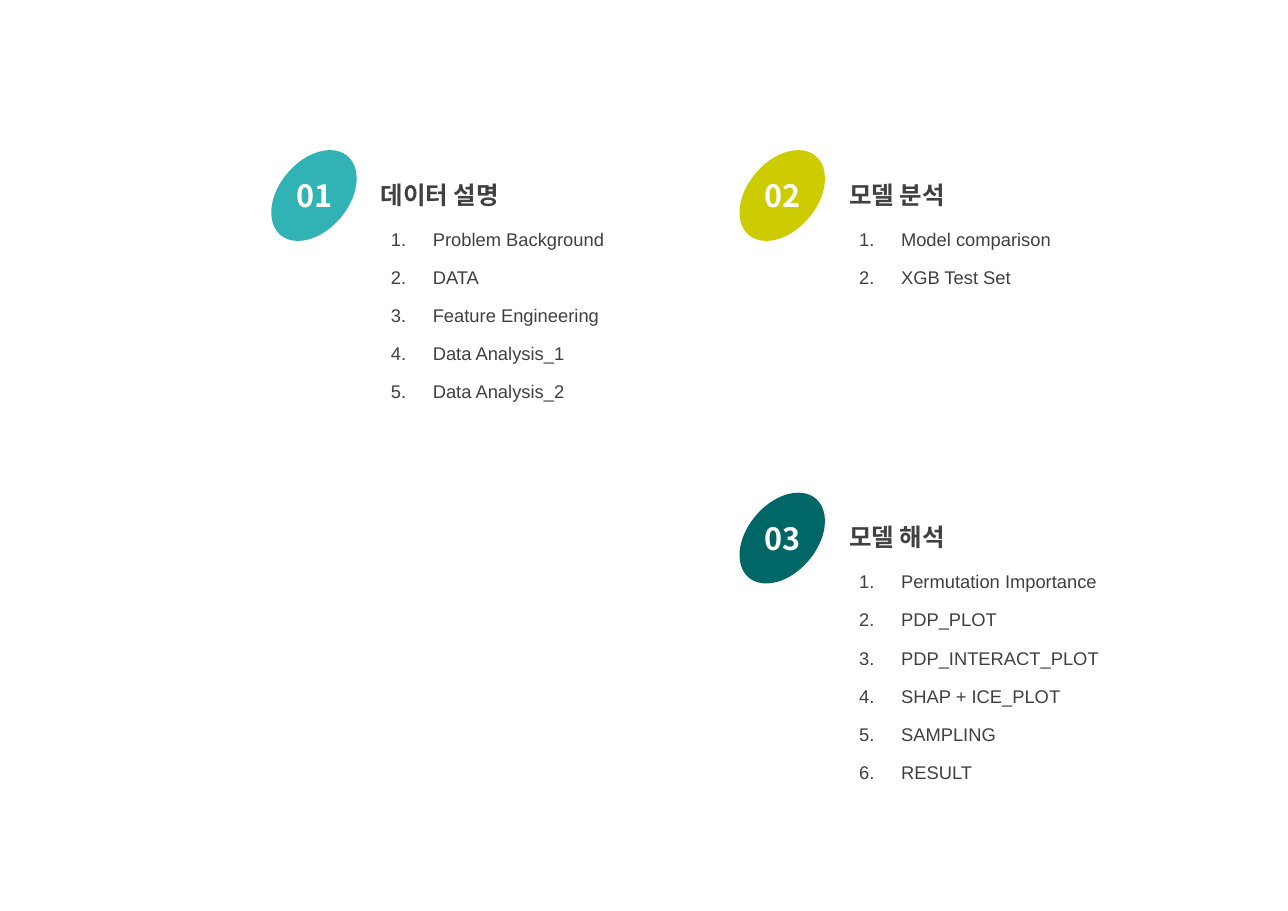
from dataclasses import dataclass

from lxml.etree import SubElement
from pptx import Presentation
from pptx.dml.color import RGBColor
from pptx.enum.shapes import MSO_SHAPE
from pptx.enum.text import MSO_ANCHOR, MSO_AUTO_SIZE
from pptx.oxml.ns import qn
from pptx.shapes.group import GroupShape
from pptx.slide import Slide
from pptx.util import Emu, Pt

EMU_PER_PX = 9144


@dataclass(frozen=True)
class Theme:
    text: str = "404040"
    number: str = "FFFFFF"
    teal: str = "31B2B5"
    lime: str = "CCCC00"
    dark_teal: str = "006666"
    latin_font: str = "Arial"
    korean_font: str = "Noto Sans CJK KR"
    number_size: int = 20
    heading_size: int = 16
    item_size: int = 12
    item_gap: float = 3.3
    item_line_spacing: float = 1.5


@dataclass(frozen=True)
class Box:
    left: int
    top: int
    width: int
    height: int


@dataclass(frozen=True)
class Section:
    number: str
    heading: str
    heading_font: str
    color: str
    left: int
    top: int
    heading_width: int
    list_width: int
    items: tuple[str, ...]


THEME = Theme()

SECTIONS = (
    Section("01", "데이터 설명", THEME.korean_font, THEME.teal, 238, 146, 143, 271,
            ("Problem Background", "DATA", "Feature Engineering",
             "Data Analysis_1", "Data Analysis_2")),
    Section("02", "모델 분석", THEME.latin_font, THEME.lime, 663, 146, 120, 307,
            ("Model comparison", "XGB Test Set")),
    Section("03", "모델 해석", THEME.latin_font, THEME.dark_teal, 663, 457, 120, 255,
            ("Permutation Importance", "PDP_PLOT", "PDP_INTERACT_PLOT",
             "SHAP + ICE_PLOT", "SAMPLING", "RESULT")),
)


def px(length: int) -> Emu:
    return Emu(length * EMU_PER_PX)


def add_text(group: GroupShape, box: Box, lines: tuple[str, ...], *, size: int,
             color: str, font: str, bold: bool = False, wrap: bool = False,
             anchor: MSO_ANCHOR = MSO_ANCHOR.TOP, numbered: bool = False) -> None:
    shape = group.shapes.add_textbox(px(box.left), px(box.top), px(box.width), px(box.height))
    frame = shape.text_frame
    frame.word_wrap = wrap
    frame.auto_size = MSO_AUTO_SIZE.SHAPE_TO_FIT_TEXT
    frame.vertical_anchor = anchor
    for index, line in enumerate(lines):
        paragraph = frame.add_paragraph() if index else frame.paragraphs[0]
        run = paragraph.add_run()
        run.text = line
        run.font.name = font
        run.font.size = Pt(size)
        run.font.bold = bold
        run.font.color.rgb = RGBColor.from_string(color)
        SubElement(run.font._element, qn("a:ea"), typeface=THEME.korean_font)
        if numbered:
            paragraph.line_spacing = THEME.item_line_spacing
            paragraph.space_before = Pt(THEME.item_gap)
            properties = paragraph._p.get_or_add_pPr()
            properties.set("marL", str(px(38)))
            properties.set("indent", str(-px(38)))
            SubElement(properties, qn("a:buFont"), typeface=THEME.latin_font)
            SubElement(properties, qn("a:buAutoNum"), type="arabicPeriod")


def add_badge(group: GroupShape, box: Box, color: str) -> None:
    shape = group.shapes.add_shape(
        MSO_SHAPE.OVAL, px(box.left), px(box.top), px(box.width), px(box.height))
    shape.rotation = 310.4
    shape.shadow.inherit = False
    shape.fill.solid()
    shape.fill.fore_color.rgb = RGBColor.from_string(color)
    shape.line.fill.background()


def add_section(slide: Slide, section: Section) -> None:
    group = slide.shapes.add_group_shape()
    left, top = section.left, section.top
    list_height = 34 * len(section.items) + 5
    add_badge(group, Box(left, top, 94, 63), section.color)
    add_text(group, Box(left + 21, top + 10, 56, 44), (section.number,),
             size=THEME.number_size, color=THEME.number, font=THEME.korean_font, bold=True)
    add_text(group, Box(left + 98, top + 12, section.heading_width, 37), (section.heading,),
             size=THEME.heading_size, color=THEME.text, font=section.heading_font,
             bold=True, anchor=MSO_ANCHOR.MIDDLE)
    add_text(group, Box(left + 107, top + 46, section.list_width, list_height), section.items,
             size=THEME.item_size, color=THEME.text, font=THEME.latin_font,
             wrap=True, numbered=True)


def main() -> None:
    presentation = Presentation()
    presentation.slide_width = px(1169)
    presentation.slide_height = px(827)
    slide = presentation.slides.add_slide(presentation.slide_layouts[6])
    for section in SECTIONS:
        add_section(slide, section)
    presentation.save("out.pptx")


if __name__ == "__main__":
    main()
